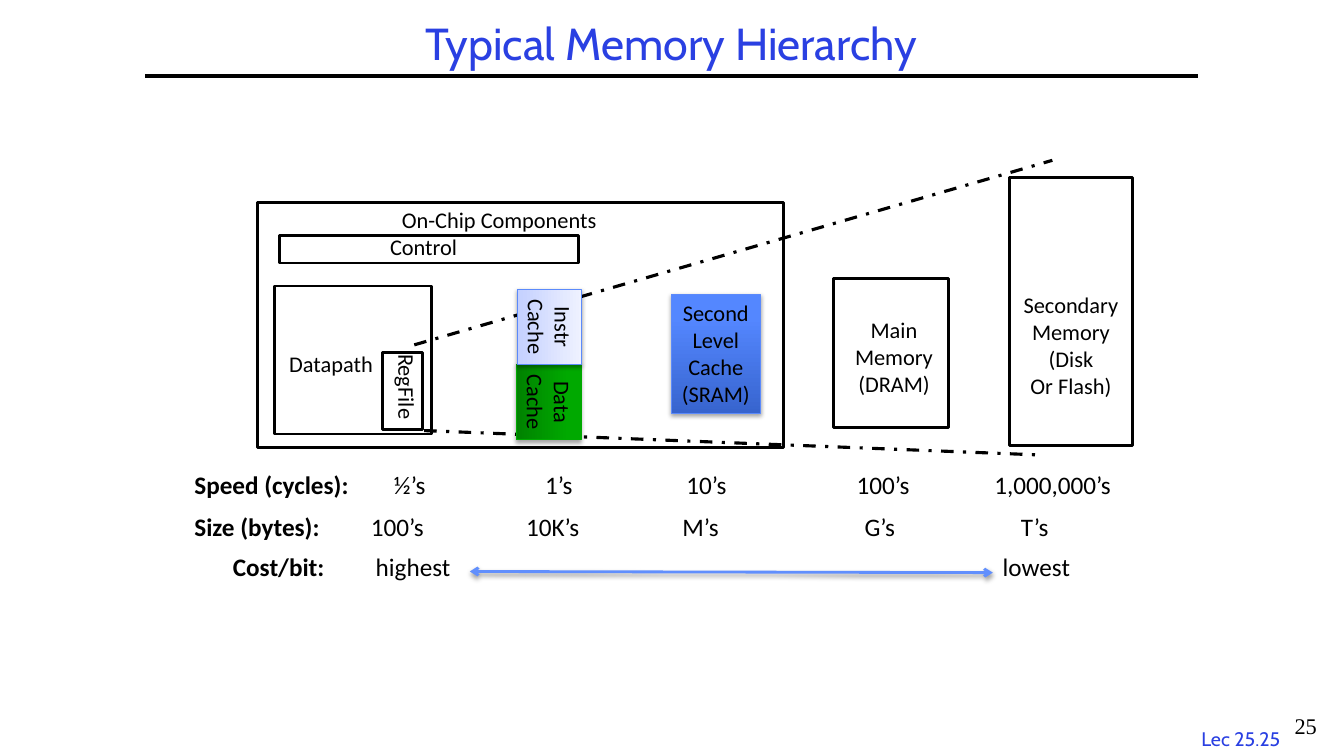
"""Build the slide on the typical memory hierarchy."""
from lxml.etree import SubElement
from pptx import Presentation
from pptx.dml.color import RGBColor
from pptx.enum.dml import MSO_LINE
from pptx.enum.shapes import MSO_CONNECTOR, MSO_SHAPE
from pptx.enum.text import MSO_ANCHOR, PP_ALIGN
from pptx.oxml.ns import qn
from pptx.util import Cm, Pt

COLORS = {
    "black": "000000", "title": "2A40E2", "arrow": "618FFD", "edge": "5B8AFB",
    "blue dark": "3764CE", "blue": "5487FF", "green edge": "00AA00",
    "green dark": "008200", "green": "00A900",
    "pale dark": "C4D0FF", "pale": "EFF2FF",
}
FRAMES = {
    "control": (7.04, 5.94, 7.54, 0.69),
    "datapath": (6.91, 7.21, 3.96, 3.73),
    "secondary memory": (25.45, 4.47, 3.1, 6.76),
    "chip": (6.48, 5.11, 13.26, 6.17),
    "register file": (9.65, 8.89, 0.99, 1.93),
    "main memory": (21.01, 7.01, 2.9, 3.76),
}
CACHES = [
    (["Second", "Level", "Cache", "(SRAM)"], (16.92, 7.42, 2.24, 3.0), 0,
     "blue dark", "blue", 0.8, "edge"),
    (["Data", "Cache"], (12.88, 9.32, 1.9, 1.63), 90,
     "green dark", "green", 0.8, "green edge"),
    (["Instr", "Cache"], (12.9, 7.42, 1.9, 1.63), 90,
     "pale dark", "pale", 1, "edge"),
]
LEFT_LABELS = [
    ("Control", (9.58, 5.74, 2.4, 0.94), 0),
    ("Datapath", (7.04, 8.69, 2.8, 0.94), 0),
    ("On-Chip Components", (9.88, 5.08, 5.6, 0.94), 0),
    ("RegFile", (8.86, 9.63, 2.82, 0.91), 90),
]
CENTERED_LABELS = [
    (["Secondary", "Memory", "(Disk", "Or Flash)"], (25.53, 7.21, 2.92, 3.0)),
    (["Main", "Memory", "(DRAM)"], (21.26, 7.85, 2.54, 2.29)),
]
RULE = (3.66, 1.91, 30.2, 1.91)
FUNNEL = [(10.44, 8.69, 26.52, 4.04), (10.69, 10.85, 26.09, 11.46)]
COST_ARROW = (11.84, 14.4, 25.02, 14.43)
ROWS = [
    (11.86, [("Speed (cycles):", 4.9), ("½’s", 9.93), ("1’s", 13.74),
             ("10’s", 17.3), ("100’s", 21.59), ("1,000,000’s", 25.06)]),
    (12.93, [("Size (bytes):", 4.9), ("100’s", 9.35), ("10K’s", 13.26),
             ("M’s", 17.2), ("G’s", 21.79), ("T’s", 25.73)]),
    (13.94, [("Cost/bit:", 5.87), ("highest", 9.47), ("lowest", 25.27)]),
]
ROW_RIGHT, ROW_HEIGHT, ROW_INSET = 29.5, 0.81, 0.18


def color(name):
    return RGBColor.from_string(COLORS[name])


def lengths(values):
    return [Cm(value) for value in values]


def style(paragraph, size=16, font="Calibri", name="black"):
    paragraph.font.size = Pt(size)
    paragraph.font.name = font
    paragraph.font.color.rgb = color(name)


def write(shape, lines, align=PP_ALIGN.CENTER, anchor=MSO_ANCHOR.TOP, **font):
    frame = shape.text_frame
    frame.word_wrap = True
    frame.vertical_anchor = anchor
    frame.margin_left = Cm(0.25 if align == PP_ALIGN.LEFT else 0)
    frame.margin_right = 0
    frame.text = "\n".join(lines)
    for paragraph in frame.paragraphs:
        paragraph.alignment = align
        style(paragraph, **font)


def add_label(slide, lines, place, **options):
    label = slide.shapes.add_textbox(*lengths(place))
    write(label, lines, **options)
    return label


def add_box(slide, place, line, width):
    box = slide.shapes.add_shape(MSO_SHAPE.RECTANGLE, *lengths(place))
    box.shadow.inherit = False
    box.fill.background()
    box.line.color.rgb = color(line)
    box.line.width = Pt(width)
    return box


def add_shadow(effects, opacity):
    shadow = SubElement(effects, qn("a:outerShdw"), blurRad=str(Pt(3.1)),
                        dist=str(Pt(1.7)), dir="5400000", rotWithShape="0")
    tint = SubElement(shadow, qn("a:srgbClr"), val=COLORS["black"])
    SubElement(tint, qn("a:alpha"), val=str(opacity * 1000))


def add_line(slide, ends, name, width, dash=None, arrows=False):
    connector = slide.shapes.add_connector(MSO_CONNECTOR.STRAIGHT, *lengths(ends))
    connector.line.color.rgb = color(name)
    connector.line.width = Pt(width)
    if dash:
        connector.line.dash_style = dash
    properties = connector._element.spPr
    effects = SubElement(properties, qn("a:effectLst"))
    if arrows:
        for end in ("a:headEnd", "a:tailEnd"):
            SubElement(properties.find(qn("a:ln")), qn(end), type="arrow")
        add_shadow(effects, 38)


def add_cache(slide, lines, place, rotation, dark, light, light_stop, edge):
    cache = add_box(slide, place, edge, 0.75)
    cache.rotation = rotation
    cache.fill.gradient()
    cache.fill.gradient_angle = 90
    stops = zip(cache.fill.gradient_stops, (dark, light), (0, light_stop))
    for stop, name, position in stops:
        stop.color.rgb = color(name)
        stop.position = position
    add_shadow(cache._element.spPr.find(qn("a:effectLst")), 35)
    write(cache, lines)


def add_row(slide, top, entries):
    start = entries[0][1]
    left = start - ROW_INSET
    row = slide.shapes.add_textbox(
        *lengths((left, top, ROW_RIGHT - left, ROW_HEIGHT)))
    frame = row.text_frame
    frame.word_wrap = True
    frame.margin_left = frame.margin_right = Cm(ROW_INSET)
    frame.margin_top = frame.margin_bottom = Cm(0.08)
    paragraph = frame.paragraphs[0]
    tabs = SubElement(paragraph._p.get_or_add_pPr(), qn("a:tabLst"))
    for _, position in entries[1:]:
        SubElement(tabs, qn("a:tab"), pos=str(Cm(position - start)), algn="l")
    paragraph.line_spacing = 0.85
    style(paragraph, size=18)
    heading = paragraph.add_run()
    heading.text = entries[0][0]
    heading.font.bold = True
    values = paragraph.add_run()
    values.text = "".join("\t" + text for text, _ in entries[1:])


def main():
    presentation = Presentation()
    presentation.slide_width, presentation.slide_height = Cm(33.87), Cm(19.05)
    slide = presentation.slides.add_slide(presentation.slide_layouts[6])

    add_line(slide, RULE, "black", 3)
    title = add_label(slide, ["Typical Memory Hierarchy"], (3.66, 0.43, 26.52, 1.47),
                      anchor=MSO_ANCHOR.MIDDLE, size=32, font="Cabin", name="title")
    title.text_frame.paragraphs[0].line_spacing = 0.9
    for place in FRAMES.values():
        add_box(slide, place, "black", 2)
    for ends in FUNNEL:
        add_line(slide, ends, "black", 2.25, MSO_LINE.DASH_DOT)
    for cache in CACHES:
        add_cache(slide, *cache)
    for text, place, rotation in LEFT_LABELS:
        label = add_label(slide, [text], place, align=PP_ALIGN.LEFT)
        label.rotation = rotation
    for lines, place in CENTERED_LABELS:
        add_label(slide, lines, place)
    for top, entries in ROWS:
        add_row(slide, top, entries)
    add_line(slide, COST_ARROW, "arrow", 2, arrows=True)
    add_label(slide, ["Lec 25.25"], (29.9, 18.19, 2.74, 0.84),
              size=14, font="Cabin", name="title")
    add_label(slide, ["25"], (32.18, 17.83, 1.45, 0.97), font="Times New Roman")
    presentation.save("out.pptx")


if __name__ == "__main__":
    main()
